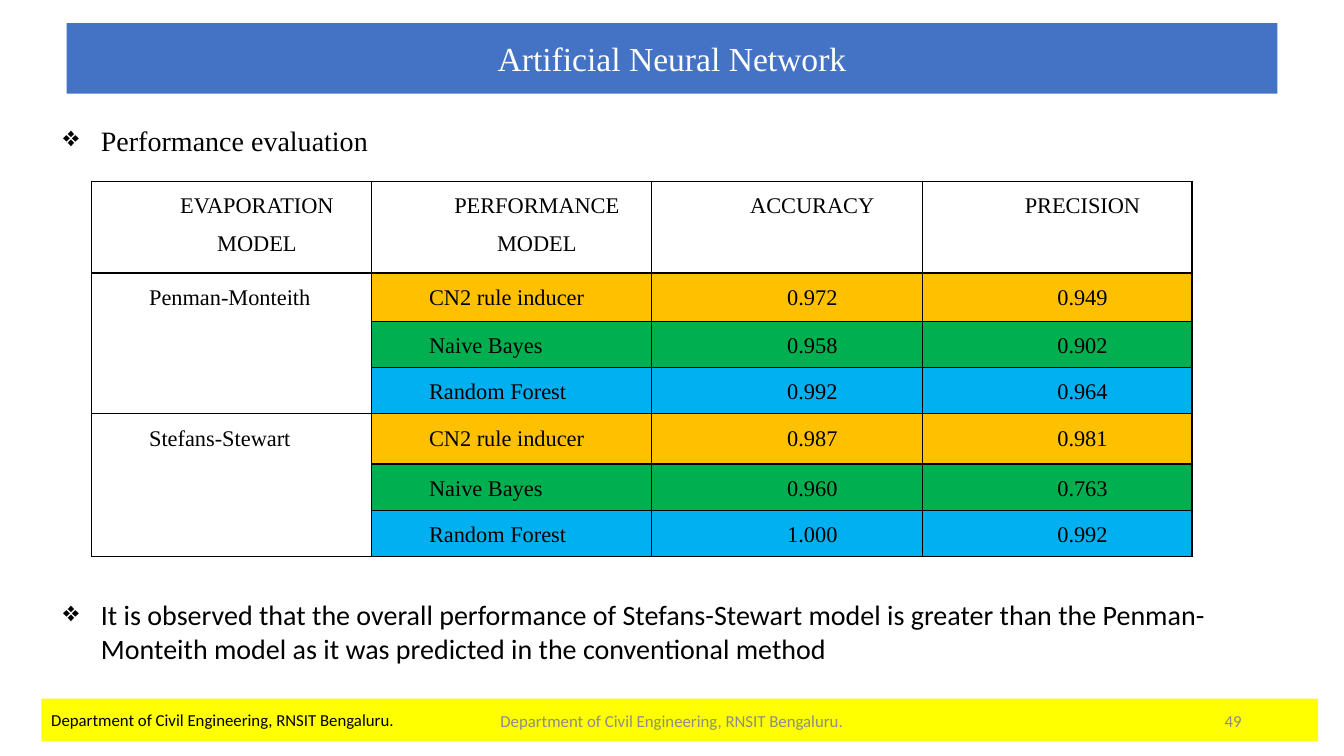
from dataclasses import dataclass

from pptx import Presentation
from pptx.dml.color import RGBColor
from pptx.enum.shapes import MSO_SHAPE
from pptx.enum.text import MSO_ANCHOR as Anchor, PP_ALIGN as Align
from pptx.oxml.ns import qn
from pptx.util import Pt
from lxml.etree import SubElement


@dataclass(frozen=True)
class Theme:
    serif: str = "Times New Roman"
    sans: str = "Calibri"
    title_size: int = 24
    body_size: int = 20
    table_size: int = 16
    footer_size: int = 12
    black: str = "000000"
    white: str = "FFFFFF"
    grey: str = "8C8C8C"
    banner: str = "4472C4"
    footer: str = "FFFF00"
    model_fills: tuple = ("FFC000", "00B050", "00B0F0")


THEME = Theme()

HEADINGS = ("EVAPORATION MODEL", "PERFORMANCE MODEL", "ACCURACY", "PRECISION")
LEARNERS = ("CN2 rule inducer", "Naive Bayes", "Random Forest")
RESULTS = {
    "Penman-Monteith": (("0.972", "0.949"), ("0.958", "0.902"), ("0.992", "0.964")),
    "Stefans-Stewart": (("0.987", "0.981"), ("0.960", "0.763"), ("1.000", "0.992")),
}
COLUMN_WIDTHS = (200, 200, 193.5, 192.5)
ROW_HEIGHTS = (65.5, 34.5, 33, 33, 36, 33, 33)
DEPARTMENT = "Department of Civil Engineering, RNSIT Bengaluru."


def apply_format(target, values):
    for name, value in values.items():
        setattr(target, name, value)


def write(paragraph, text, font, size, color=THEME.black, **layout):
    paragraph.text = text
    apply_format(paragraph, layout)
    apply_format(paragraph.font, {"name": font, "size": Pt(size)})
    paragraph.font.color.rgb = RGBColor.from_string(color)


def add_text(slide, box, text, font, size, color=THEME.black,
             align=Align.LEFT, anchor=Anchor.MIDDLE, fill=None):
    """Place text in a box, on a filled rectangle when a fill is given."""
    lengths = [Pt(value) for value in box]
    if fill:
        shape = slide.shapes.add_shape(MSO_SHAPE.RECTANGLE, *lengths)
        shape.shadow.inherit = False
        shape.fill.solid()
        shape.fill.fore_color.rgb = RGBColor.from_string(fill)
        shape.line.fill.background()
    else:
        shape = slide.shapes.add_textbox(*lengths)
    apply_format(shape.text_frame, {"word_wrap": True, "vertical_anchor": anchor})
    write(shape.text_frame.paragraphs[0], text, font, size, color, alignment=align)
    return shape


def add_bullet(slide, box, text, font):
    shape = add_text(slide, box, "", font, THEME.body_size, anchor=Anchor.TOP)
    paragraph = shape.text_frame.add_paragraph()
    # Keep a single paragraph, with its bullet placed before the font
    first = shape.text_frame.paragraphs[0]
    first._p.getparent().remove(first._p)
    properties = paragraph._p.get_or_add_pPr()
    properties.set("marL", str(Pt(27)))
    properties.set("indent", str(-Pt(27)))
    SubElement(properties, qn("a:buChar"), char="❖")
    write(paragraph, text, font, THEME.body_size)


def add_footer(slide, box):
    left, top, width, height = box
    size = THEME.footer_size
    add_text(slide, box, DEPARTMENT, THEME.sans, size, fill=THEME.footer)
    add_text(slide, (left + 288.5, top + 1.5, 324, 29), DEPARTMENT,
             THEME.sans, size, THEME.grey, Align.CENTER)
    add_text(slide, (left + 648.5, top + 1.5, 216, 29), "49",
             THEME.sans, size, THEME.grey, Align.RIGHT)


def format_cell(cell, text, align, fill=None, space_after=0):
    apply_format(cell, {"margin_left": Pt(5), "margin_right": Pt(5),
                        "margin_top": 0, "margin_bottom": 0})
    # Borders come before the fill in the cell properties
    properties = cell._tc.get_or_add_tcPr()
    for side in ("lnL", "lnR", "lnT", "lnB"):
        line = SubElement(properties, qn(f"a:{side}"), w=str(Pt(1)))
        solid = SubElement(line, qn("a:solidFill"))
        SubElement(solid, qn("a:srgbClr"), val=THEME.black)
    if fill:
        cell.fill.solid()
        cell.fill.fore_color.rgb = RGBColor.from_string(fill)
    else:
        cell.fill.background()
    paragraph = cell.text_frame.paragraphs[0]
    paragraph._p.get_or_add_pPr().set("marL", str(Pt(36)))
    write(paragraph, text, THEME.serif, THEME.table_size, alignment=align,
          line_spacing=1.5, space_after=Pt(space_after))


def add_results_table(slide, left, top):
    frame = slide.shapes.add_table(
        len(ROW_HEIGHTS), len(COLUMN_WIDTHS), Pt(left), Pt(top),
        Pt(sum(COLUMN_WIDTHS)), Pt(sum(ROW_HEIGHTS)))
    table = frame.table
    apply_format(table, {"first_row": False, "horz_banding": False})
    for column, width in zip(table.columns, COLUMN_WIDTHS):
        column.width = Pt(width)
    for row, height in zip(table.rows, ROW_HEIGHTS):
        row.height = Pt(height)

    # One header row, then three learners for each evaporation model
    rows = [HEADINGS]
    for model, scores in RESULTS.items():
        for index, (learner, pair) in enumerate(zip(LEARNERS, scores)):
            rows.append(("" if index else model, learner, *pair))
    for row, texts in enumerate(rows):
        for column, text in enumerate(texts):
            align = Align.CENTER if row == 0 or column > 1 else Align.JUSTIFY
            fill = THEME.model_fills[(row - 1) % 3] if row and column else None
            format_cell(table.cell(row, column), text, align, fill,
                        space_after=8 if column == 3 else 0)
    for start in (1, 4):
        table.cell(start, 0).merge(table.cell(start + 2, 0))


def build_results_slide(presentation):
    slide = presentation.slides.add_slide(presentation.slide_layouts[6])
    add_footer(slide, (29.5, 499, 912, 30.5))
    add_text(slide, (47.5, 16.5, 865, 50.5), "Artificial Neural Network",
             THEME.serif, THEME.title_size, THEME.white, Align.CENTER,
             fill=THEME.banner)
    add_results_table(slide, 65.5, 129.5)
    add_bullet(slide, (38, 84.5, 856, 31), "Performance evaluation", THEME.serif)
    add_bullet(slide, (38, 423.5, 856, 56),
               "It is observed that the overall performance of Stefans-Stewart "
               "model is greater than the Penman-Monteith model as it was "
               "predicted in the conventional method", THEME.sans)


def main():
    presentation = Presentation()
    apply_format(presentation, {"slide_width": Pt(960), "slide_height": Pt(540)})
    build_results_slide(presentation)
    presentation.save("out.pptx")


if __name__ == "__main__":
    main()
